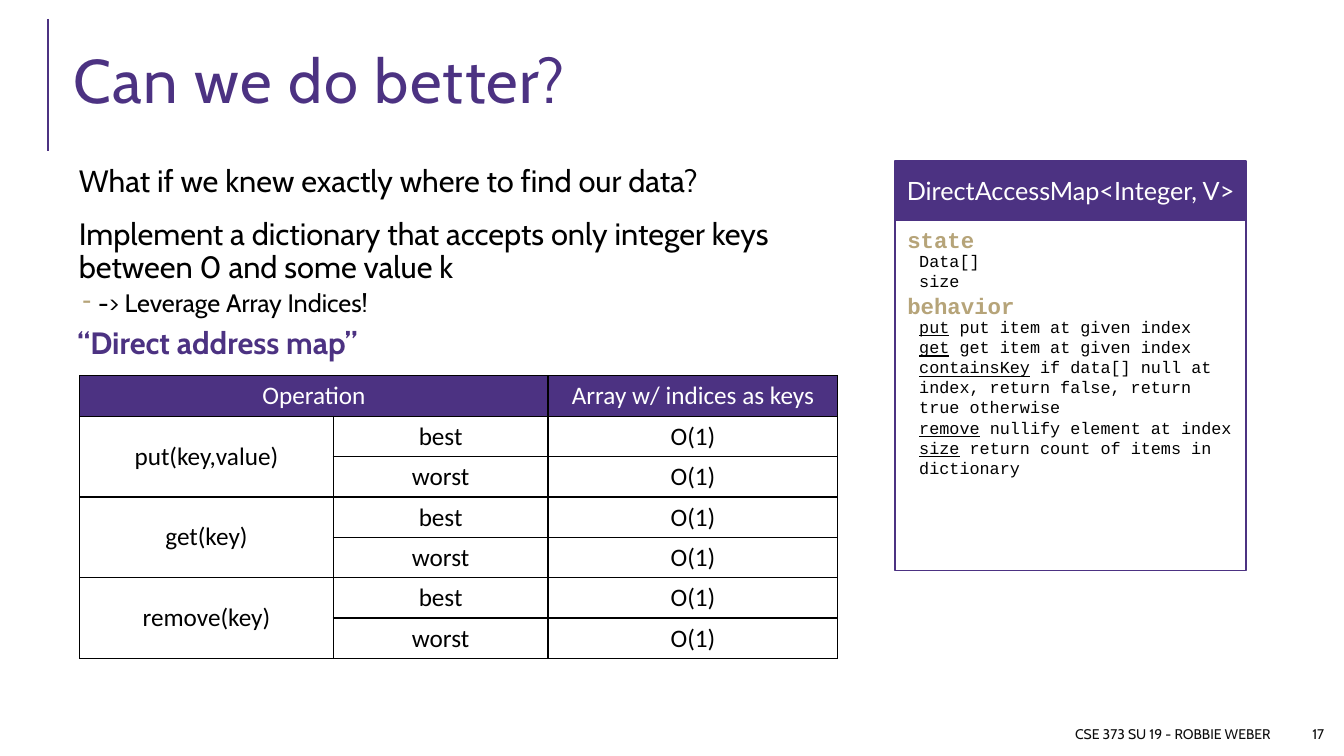
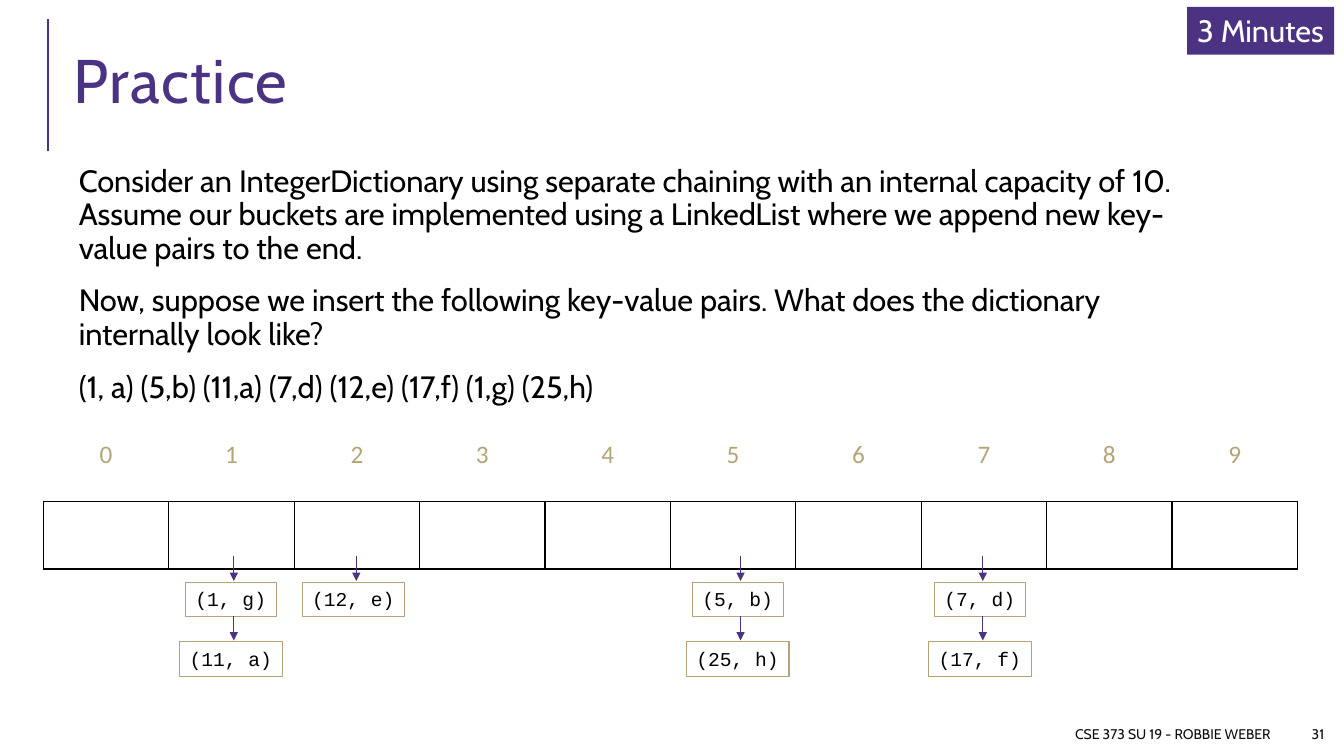
from dataclasses import dataclass
from typing import NamedTuple

from lxml import etree
from pptx import Presentation
from pptx.dml import color
from pptx.enum import shapes, text
from pptx.oxml import ns
from pptx.util import Pt


@dataclass(frozen=True)
class Theme:
    purple: str = "4C3282"
    gold: str = "B6A479"
    black: str = "000000"
    white: str = "FFFFFF"
    footer_ink: str = "0D0D0D"
    heading_font: str = "Cabin"
    table_font: str = "Calibri"
    panel_font: str = "Lato"
    code_font: str = "Courier New"
    title_size: float = 44
    body_size: float = 22
    detail_size: float = 18
    section_size: float = 16
    node_size: float = 14
    code_size: float = 12
    footer_size: float = 10


class Box(NamedTuple):
    left: float
    top: float
    width: float
    height: float

    def lengths(self):
        return [Pt(value) for value in self]


THEME = Theme()
CENTER = text.PP_ALIGN.CENTER
RIGHT = text.PP_ALIGN.RIGHT
MIDDLE = text.MSO_ANCHOR.MIDDLE
BODY = dict(line_spacing=0.9, space_before=12, space_after=2, indent=7.2)
CODE = dict(size=THEME.code_size, font=THEME.code_font)
CELL = dict(size=THEME.detail_size, font=THEME.table_font, align=CENTER)


def rgb(value):
    return color.RGBColor.from_string(value)


def add_xml(parent, tag, **attributes):
    return etree.SubElement(parent, ns.qn(tag), attributes)


def write(frame, content, size=THEME.body_size, font=THEME.heading_font,
          ink=THEME.black, bold=False, align=None, line_spacing=None,
          space_before=0, space_after=0, indent=0, hanging=0, bullet=None,
          tracking=0):
    """Append a paragraph; content is a string or (text, underlined) pairs."""
    is_first = not frame.text
    paragraph = frame.paragraphs[0] if is_first else frame.add_paragraph()
    properties = paragraph._p.get_or_add_pPr()
    if indent:
        properties.set("marL", str(Pt(indent)))
        properties.set("indent", str(Pt(-hanging)))
    if bullet:
        add_xml(add_xml(properties, "a:buClr"), "a:srgbClr", val=THEME.gold)
        add_xml(properties, "a:buChar", char=bullet)
    paragraph.alignment = align
    paragraph.line_spacing = line_spacing
    paragraph.space_before = Pt(0 if is_first else space_before)
    paragraph.space_after = Pt(space_after)
    pairs = [(content, False)] if isinstance(content, str) else content
    for words, underlined in pairs:
        run = paragraph.add_run()
        run.text = words
        run.font.size = Pt(size)
        run.font.name = font
        run.font.bold = bold
        run.font.underline = underlined
        run.font.color.rgb = rgb(ink)
        if tracking:
            run.font._element.set("spc", str(tracking * 100))


def add_text(parent, box, contents, anchor=text.MSO_ANCHOR.TOP, inset=None,
             **style):
    frame = parent.add_textbox(*box.lengths()).text_frame
    frame.word_wrap = True
    frame.vertical_anchor = anchor
    if inset is not None:
        frame.margin_left = frame.margin_right = Pt(inset)
        frame.margin_top = frame.margin_bottom = Pt(inset)
    for content in contents:
        write(frame, content, **style)
    return frame


def add_rectangle(parent, box, fill=None, line=None, weight=1.25):
    shape = parent.add_shape(shapes.MSO_SHAPE.RECTANGLE, *box.lengths())
    shape.shadow.inherit = False
    if fill:
        shape.fill.solid()
        shape.fill.fore_color.rgb = rgb(fill)
    else:
        shape.fill.background()
    if line:
        shape.line.color.rgb = rgb(line)
        shape.line.width = Pt(weight)
    else:
        shape.line.fill.background()
    return shape


def add_label(parent, box, words, fill=None, line=None, **style):
    """Add a rectangle that fits itself to one line of text."""
    shape = add_rectangle(parent, box, fill, line, weight=0.75)
    frame = shape.text_frame
    frame.word_wrap = False
    frame.auto_size = text.MSO_AUTO_SIZE.SHAPE_TO_FIT_TEXT
    frame.vertical_anchor = text.MSO_ANCHOR.TOP
    write(frame, words, align=text.PP_ALIGN.LEFT, **style)


def add_vertical_line(parent, x, start, end, weight, arrow=False):
    connector = parent.add_connector(
        shapes.MSO_CONNECTOR.STRAIGHT, Pt(x), Pt(start), Pt(x), Pt(end))
    connector.line.color.rgb = rgb(THEME.purple)
    connector.line.width = Pt(weight)
    if arrow:
        add_xml(connector.line._get_or_add_ln(), "a:tailEnd", type="triangle")
    add_xml(connector._element.spPr, "a:effectLst")


def add_table(parent, box, widths, row_count):
    table = parent.add_table(row_count, len(widths), *box.lengths()).table
    table.first_row = table.horz_banding = False
    for column, width in zip(table.columns, widths):
        column.width = Pt(width)
    for row in table.rows:
        row.height = Pt(box.height / row_count)
    return table


def format_cell(cell, fill=None, sides=THEME.black, bottom=THEME.black):
    properties = cell._tc.get_or_add_tcPr()
    for tag in ("a:lnL", "a:lnR", "a:lnT", "a:lnB"):
        border = add_xml(properties, tag, w=str(Pt(1)))
        ink = bottom if tag == "a:lnB" else sides
        add_xml(add_xml(border, "a:solidFill"), "a:srgbClr", val=ink)
    if fill:
        cell.fill.solid()
        cell.fill.fore_color.rgb = rgb(fill)
    else:
        cell.fill.background()


def new_slide(presentation, title, number):
    """Add a slide with the shared rule, title and footer."""
    slide = presentation.slides.add_slide(presentation.slide_layouts[6])
    parent = slide.shapes
    add_vertical_line(parent, 34, 13.5, 108, weight=1.5)
    add_text(parent, Box(45.5, 21, 880, 80), [title], anchor=MIDDLE,
             size=THEME.title_size, ink=THEME.purple, line_spacing=0.8,
             tracking=1)
    for left, width, words in ((450, 464.5, "CSE 373 SU 19 - ROBBIE WEBER"),
                               (920, 33, number)):
        add_text(parent, Box(left, 513.5, width, 21.5), [words], anchor=MIDDLE,
                 size=THEME.footer_size, ink=THEME.footer_ink, align=RIGHT)
    return slide


def add_runtime_table(parent, box):
    table = add_table(parent, box, (181, 153.5, 207), 7)
    for cell in table.iter_cells():
        format_cell(cell, THEME.purple if cell in list(table.rows[0].cells)
                    else None)
    table.cell(0, 0).merge(table.cell(0, 1))
    for column, heading in ((0, "Operation"), (2, "Array w/ indices as keys")):
        write(table.cell(0, column).text_frame, heading, ink=THEME.white, **CELL)
    for index, operation in enumerate(
            ("put(key,value)", "get(key)", "remove(key)")):
        first = 1 + 2 * index
        operation_cell = table.cell(first, 0)
        operation_cell.merge(table.cell(first + 1, 0))
        operation_cell.vertical_anchor = MIDDLE
        write(operation_cell.text_frame, operation, **CELL)
        for row, case in enumerate(("best", "worst"), first):
            write(table.cell(row, 1).text_frame, case, **CELL)
            write(table.cell(row, 2).text_frame, "O(1)", **CELL)


def add_class_panel(parent, box, name, state, behavior):
    """Draw a class card with a header, its state and its methods."""
    group = parent.add_group_shape().shapes
    header = 42
    left, top, width, height = box
    add_rectangle(group, Box(left, top + header, width, height - header),
                  THEME.white, THEME.purple)
    title = add_rectangle(group, Box(left, top, width, header),
                          THEME.purple, THEME.purple).text_frame
    title.vertical_anchor = MIDDLE
    write(title, name, size=THEME.detail_size, font=THEME.panel_font,
          ink=THEME.white, align=CENTER)
    for heading, offset, lines, gap, depth in (
            ("state", 43, state, 17.5, 36),
            ("behavior", 90, behavior, 17.5, 181)):
        add_text(group, Box(left + 1.5, top + offset, 193, 26.5), [heading],
                 size=THEME.section_size, font=THEME.code_font,
                 ink=THEME.gold, bold=True)
        add_text(group, Box(left + 10, top + offset + gap, 240, depth),
                 lines, **CODE)


def add_bucket_array(parent, box, chains):
    """Draw numbered buckets; chains maps node centres, from the left, to nodes."""
    count = 10
    table = add_table(parent, box, [box.width / count] * count, 2)
    for index in range(count):
        number = table.cell(0, index)
        format_cell(number, sides=THEME.white)
        write(number.text_frame, str(index), ink=THEME.gold, **CELL)
        format_cell(table.cell(1, index))
    node_height, pitch = 24.5, 42.5
    for offset, nodes in chains.items():
        center = box.left + offset
        for level, node in enumerate(nodes):
            top = box.top + 106 + level * pitch
            width = 14.5 + 8.4 * len(node)
            add_label(parent, Box(center - width / 2, top, width, node_height),
                      node, line=THEME.gold, size=THEME.node_size,
                      font=THEME.code_font)
            add_vertical_line(parent, center + 2, top - 18.5, top - 1,
                              weight=0.75, arrow=True)


def build_direct_access(presentation):
    parent = new_slide(presentation, "Can we do better?", "17").shapes
    body = add_text(parent, Box(45.5, 115, 522, 126), [
        "What if we knew exactly where to find our data?",
        "Implement a dictionary that accepts only integer keys between 0 "
        "and some value k",
    ], inset=3.6, **BODY)
    write(body, "-> Leverage Array Indices!", size=THEME.detail_size,
          line_spacing=0.9, space_before=2, space_after=4, indent=21,
          hanging=11, bullet="-")
    add_runtime_table(parent, Box(57, 268.5, 541.5, 201.6))
    add_text(parent, Box(44.5, 231, 297, 56), ["“Direct address map”"],
             inset=3.6, ink=THEME.purple, bold=True, **BODY)
    methods = (("put", "put item at given index"),
               ("get", "get item at given index"),
               ("containsKey", "if data[] null at index, return false, "
                               "return true otherwise"),
               ("remove", "nullify element at index"),
               ("size", "return count of items in dictionary"))
    add_class_panel(
        parent, Box(639.5, 115, 250.5, 292.5), "DirectAccessMap<Integer, V>",
        ["Data[]", "size"],
        [((name, True), (" " + effect, False)) for name, effect in methods])


def build_practice(presentation):
    parent = new_slide(presentation, "Practice", "31").shapes
    add_text(parent, Box(45.5, 115, 833, 381.5), [
        "Consider an IntegerDictionary using separate chaining with an "
        "internal capacity of 10. Assume our buckets are implemented using a "
        "LinkedList where we append new key-value pairs to the end.",
        "Now, suppose we insert the following key-value pairs. What does the "
        "dictionary internally look like?",
        "(1, a) (5,b) (11,a) (7,d) (12,e) (17,f) (1,g) (25,h)",
    ], inset=3.6, **BODY)
    add_bucket_array(parent, Box(31, 310, 896, 96.5), {
        134: ["(1, g)", "(11, a)"],
        221.5: ["(12, e)"],
        496: ["(5, b)", "(25, h)"],
        669: ["(7, d)", "(17, f)"],
    })
    add_label(parent, Box(848, 5, 105, 34), "3 Minutes", fill=THEME.purple,
              ink=THEME.white)


def main():
    presentation = Presentation()
    presentation.slide_width, presentation.slide_height = Pt(960), Pt(540)
    build_direct_access(presentation)
    build_practice(presentation)
    presentation.save("out.pptx")


if __name__ == "__main__":
    main()
